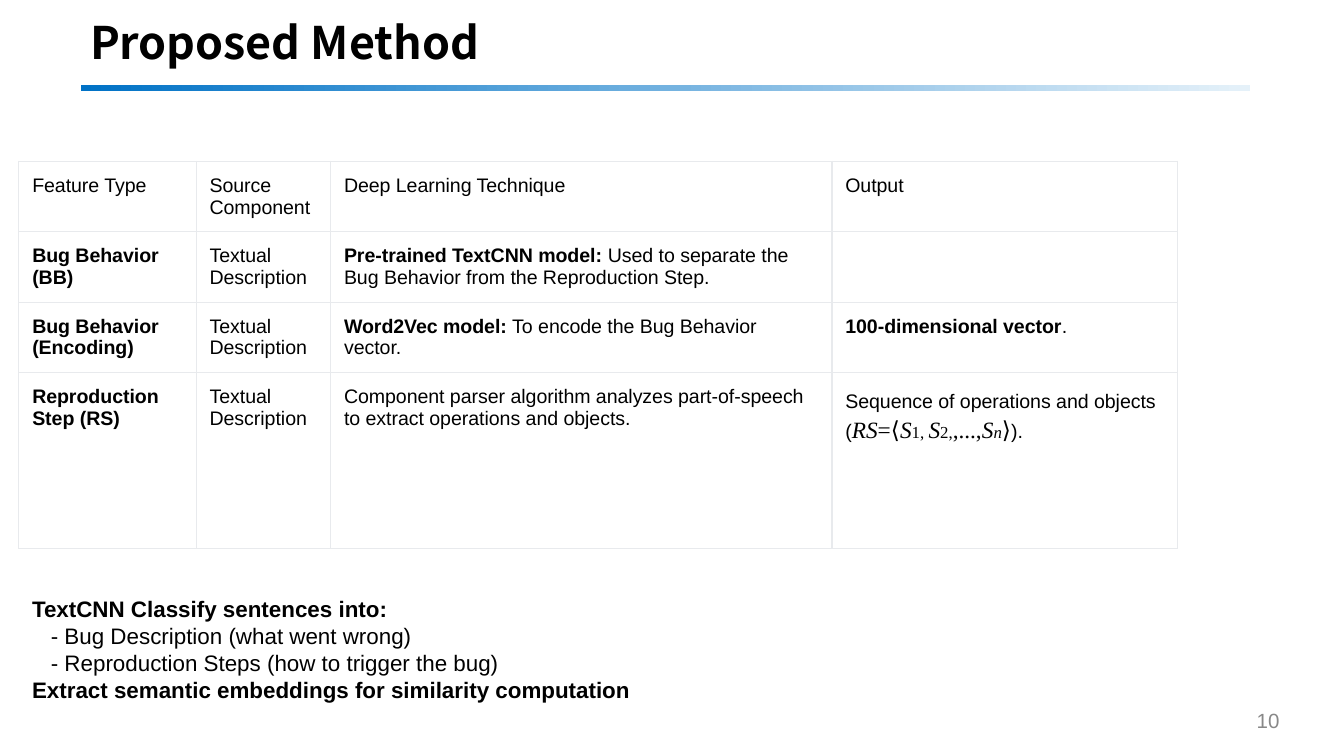
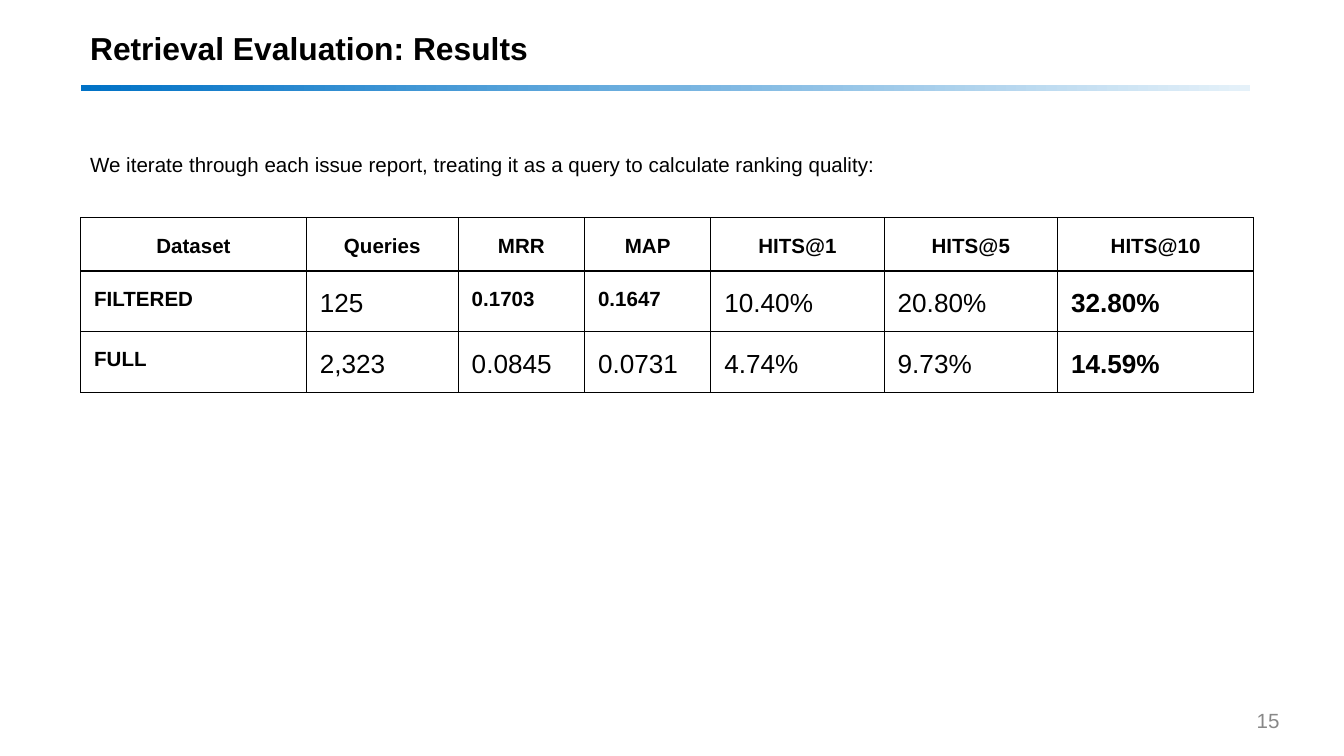
from dataclasses import dataclass, replace

from lxml import etree
from pptx import Presentation
from pptx import util as u
from pptx.dml.color import RGBColor
from pptx.enum import shapes, text
from pptx.oxml import ns

LEFT, CENTER, RIGHT = text.PP_ALIGN.LEFT, text.PP_ALIGN.CENTER, text.PP_ALIGN.RIGHT
TOP, MIDDLE = text.MSO_ANCHOR.TOP, text.MSO_ANCHOR.MIDDLE


@dataclass(frozen=True)
class Style:
    size: float
    bold: bool = False
    italic: bool = False
    font: str = "Arial"
    color: str = "000000"


class Theme:
    band_start, band_end = "0072C6", "E5F1F9"
    light_border, dark_border = "E8EAED", "000000"
    border_width = 0.75
    inset = (0.07, 0.04)
    wide_inset = (0.1, 0.1)
    loose = 1.15
    method_title = Style(24, bold=True, font="Noto Sans CJK SC")
    results_title = Style(17, bold=True)
    page_number = Style(11, color="888888")
    cell = Style(10.5)
    cell_bold = replace(cell, bold=True)
    math = Style(12.5, font="Times New Roman")
    symbol = replace(math, italic=True)
    subscript = replace(math, size=9)
    note = Style(12)
    note_bold = replace(note, bold=True)
    intro = Style(11)
    label = replace(intro, bold=True)
    value = Style(14)
    best_value = replace(value, bold=True)


def write(paragraph, runs, spacing=1.0, align=LEFT):
    """Fill a paragraph with (text, Style) pairs."""
    paragraph.line_spacing = spacing
    paragraph.alignment = align
    for words, style in runs:
        run = paragraph.add_run()
        run.text = words
        font = run.font
        font.name, font.size = style.font, u.Pt(style.size)
        font.bold, font.italic = style.bold, style.italic
        font.color.rgb = RGBColor.from_string(style.color)


def set_insets(box, inset):
    box.margin_left = box.margin_right = u.Inches(inset[0])
    box.margin_top = box.margin_bottom = u.Inches(inset[1])


def prepare_frame(frame, inset, anchor):
    frame.word_wrap = True
    frame.auto_size = text.MSO_AUTO_SIZE.NONE
    frame.vertical_anchor = anchor
    set_insets(frame, inset)


def add_text(slide, place, inset=Theme.inset, anchor=TOP):
    frame = slide.shapes.add_textbox(*map(u.Inches, place)).text_frame
    prepare_frame(frame, inset, anchor)
    return frame


def add_band(slide):
    band = slide.shapes.add_shape(
        shapes.MSO_SHAPE.RECTANGLE, *map(u.Inches, (0.6, 0.63, 8.7, 0.05)))
    band.shadow.inherit = False
    band.line.fill.background()
    band.fill.gradient()
    band.fill.gradient_angle = 0
    for stop, color in zip(band.fill.gradient_stops, (Theme.band_start, Theme.band_end)):
        stop.color.rgb = RGBColor.from_string(color)


def add_slide(prs, heading, style, spacing, number):
    """Add a slide with the shared band, title and page number."""
    slide = prs.slides.add_slide(prs.slide_layouts[5])
    add_band(slide)
    title = slide.shapes.title
    title.left, title.top, title.width, title.height = map(
        u.Inches, (0.6, 0.14, 8.62, 0.39))
    prepare_frame(title.text_frame, Theme.inset, MIDDLE)
    write(title.text_frame.paragraphs[0], [(heading, style)], spacing)
    page = add_text(slide, (7.34, 5.21, 2.25, 0.3), anchor=MIDDLE)
    write(page.paragraphs[0], [(str(number), Theme.page_number)], align=RIGHT)
    return slide


def set_borders(cell, color):
    properties = cell._tc.get_or_add_tcPr()
    for side in ("lnL", "lnR", "lnT", "lnB"):
        line = etree.SubElement(properties, ns.qn(f"a:{side}"),
                                w=str(u.Pt(Theme.border_width)))
        fill = etree.SubElement(line, ns.qn("a:solidFill"))
        etree.SubElement(fill, ns.qn("a:srgbClr"), val=color)


def add_grid(slide, left, top, widths, heights, border):
    """Add an unfilled table with equal borders and return it."""
    frame = slide.shapes.add_table(
        len(heights), len(widths), u.Inches(left), u.Inches(top),
        u.Inches(sum(widths)), u.Inches(sum(heights)))
    table = frame.table
    table.first_row = table.horz_banding = False
    for column, width in zip(table.columns, widths):
        column.width = u.Inches(width)
    for row, height in zip(table.rows, heights):
        row.height = u.Inches(height)
    for cell in table.iter_cells():
        set_insets(cell, Theme.wide_inset)
        set_borders(cell, border)
        cell.fill.background()
    return table


def indent(paragraph):
    properties = paragraph._p.get_or_add_pPr()
    properties.set("marL", str(u.Inches(0.14)))
    properties.set("indent", "0")


def build_method(prs):
    slide = add_slide(prs, "Proposed Method", Theme.method_title, 0.9, 10)
    plain, bold = Theme.cell, Theme.cell_bold
    symbol, math, subscript = Theme.symbol, Theme.math, Theme.subscript
    source = [("Textual Description", plain)]
    sequence = [
        ("Sequence of operations and objects (", plain),
        ("RS", symbol), ("=⟨", math),
        ("S", symbol), ("1, ", subscript),
        ("S", symbol), ("2,", subscript), (",...,", math),
        ("S", symbol), ("n", replace(subscript, italic=True)),
        ("⟩", math), (").", plain),
    ]
    headings = ("Feature Type", "Source Component", "Deep Learning Technique", "Output")
    features = [
        [[(heading, plain)] for heading in headings],
        [[("Bug Behavior (BB)", bold)], source,
         [("Pre-trained TextCNN model:", bold),
          (" Used to separate the Bug Behavior from the Reproduction Step.", plain)],
         []],
        [[("Bug Behavior (Encoding)", bold)], source,
         [("Word2Vec model:", bold), (" To encode the Bug Behavior vector.", plain)],
         [("100-dimensional vector", bold), (".", plain)]],
        [[("Reproduction Step (RS)", bold)], source,
         [("Component parser algorithm analyzes part-of-speech "
           "to extract operations and objects.", plain)],
         sequence],
    ]
    table = add_grid(slide, 0.14, 1.2, (1.32, 1, 3.73, 2.57),
                     (0.52, 0.52, 0.52, 1.31), Theme.light_border)
    for r, feature in enumerate(features):
        for c, runs in enumerate(feature):
            write(table.cell(r, c).text_frame.paragraphs[0], runs,
                  1.2 if runs is sequence else 1.0)

    notes = add_text(slide, (0.14, 4.33, 8.74, 1.01), Theme.wide_inset)
    lines = (
        ("TextCNN Classify sentences into:", Theme.note_bold),
        ("- Bug Description (what went wrong)", Theme.note),
        ("- Reproduction Steps (how to trigger the bug)", Theme.note),
        ("Extract semantic embeddings for similarity computation", Theme.note_bold),
    )
    for i, (words, style) in enumerate(lines):
        paragraph = notes.add_paragraph() if i else notes.paragraphs[0]
        if style is Theme.note:
            indent(paragraph)
        write(paragraph, [(words, style)])


def build_results(prs):
    slide = add_slide(prs, "Retrieval Evaluation: Results",
                      Theme.results_title, Theme.loose, 15)
    intro = add_text(slide, (0.6, 1.06, 8.74, 0.78))
    write(intro.paragraphs[0],
          [("We iterate through each issue report, treating it as a query "
            "to calculate ranking quality:", Theme.intro)], Theme.loose)

    results = (
        ("Dataset", "Queries", "MRR", "MAP", "HITS@1", "HITS@5", "HITS@10"),
        ("FILTERED", "125", "0.1703", "0.1647", "10.40%", "20.80%", "32.80%"),
        ("FULL", "2,323", "0.0845", "0.0731", "4.74%", "9.73%", "14.59%"),
    )
    best_scores = ("0.1703", "0.1647")
    table = add_grid(slide, 0.6, 1.62, (1.68, 1.13, 0.94, 0.94, 1.29, 1.29, 1.46),
                     (0.39, 0.45, 0.45), Theme.dark_border)
    last = len(results[0]) - 1
    for r, result in enumerate(results):
        for c, words in enumerate(result):
            if r == 0 or c == 0 or words in best_scores:
                style = Theme.label
            else:
                style = Theme.best_value if c == last else Theme.value
            write(table.cell(r, c).text_frame.paragraphs[0], [(words, style)],
                  Theme.loose, LEFT if r else CENTER)


def main():
    prs = Presentation()
    prs.slide_width = u.Inches(10)
    prs.slide_height = prs.slide_width * 9 // 16
    build_method(prs)
    build_results(prs)
    prs.save("out.pptx")


if __name__ == "__main__":
    main()
